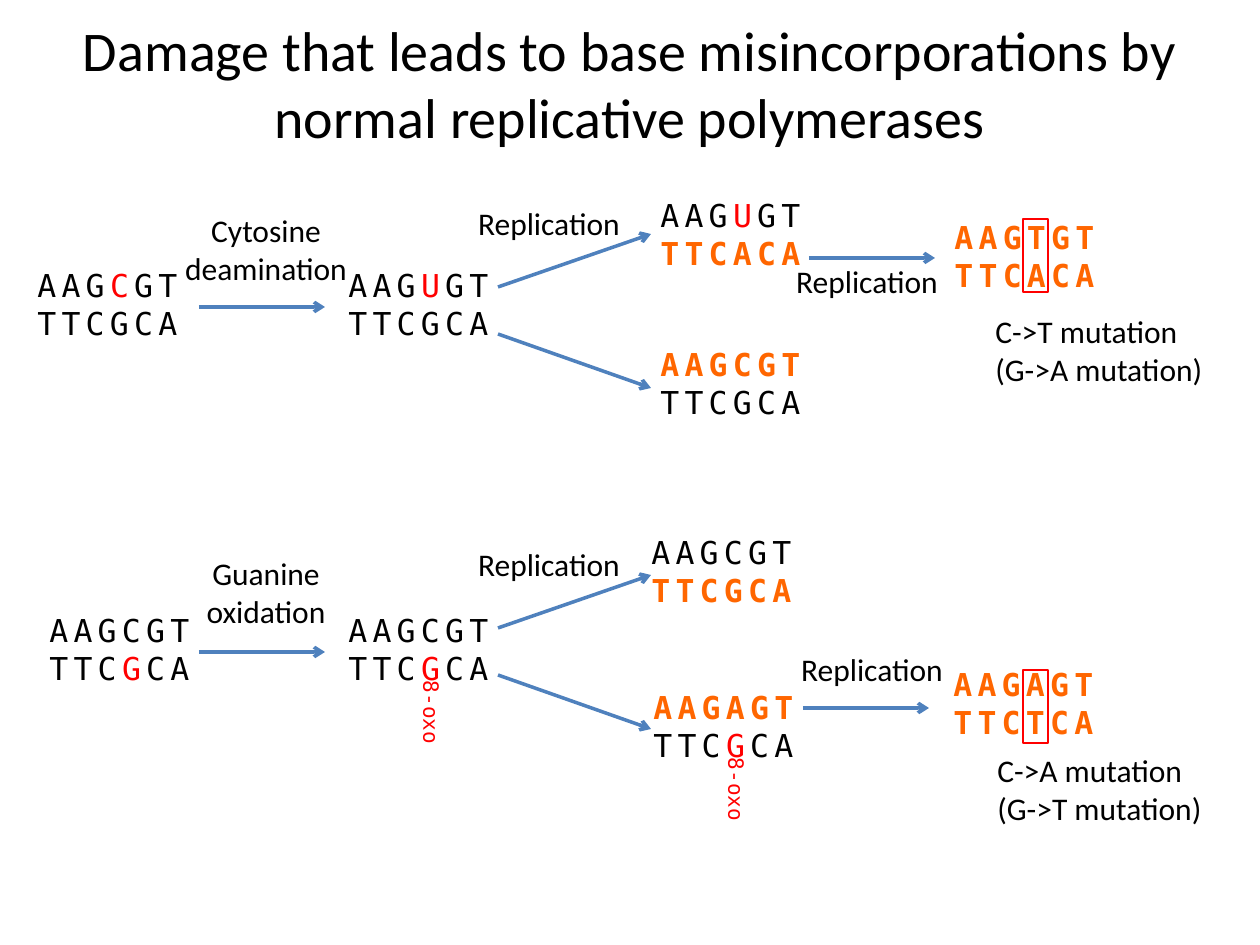
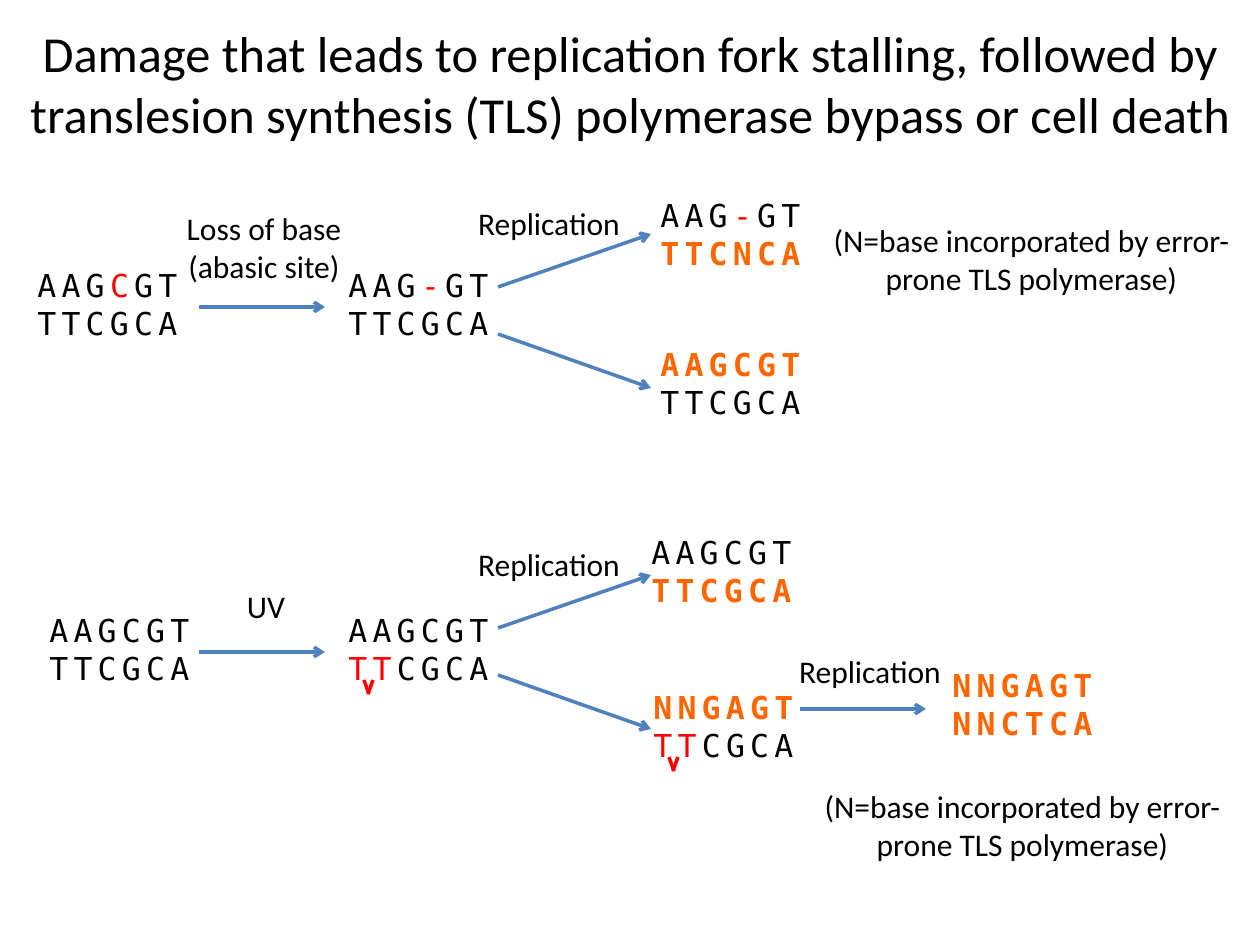
from lxml import etree
from pptx import Presentation
from pptx import util as u
from pptx.dml.color import RGBColor
from pptx.enum import shapes, text
from pptx.oxml.ns import qn

PX = 914400 / 126
SANS, MONO = "Calibri", "DejaVu Sans Mono"
BLACK, RED, ORANGE, BLUE = "000000", "FF0000", "FF6600", "4F81BD"
LEFT, CENTER = text.PP_ALIGN.LEFT, text.PP_ALIGN.CENTER
STRAIGHT = shapes.MSO_CONNECTOR.STRAIGHT
TLS_NOTE = "(N=base incorporated by error-prone TLS polymerase)"


def px(length):
    return u.Emu(round(length * PX))


def rgb(value):
    return RGBColor.from_string(value)


def format_span(span, size, name=SANS, color=BLACK, bold=False):
    span.font.size = u.Pt(size)
    span.font.name = name
    span.font.bold = bold
    span.font.color.rgb = rgb(color)


def add_box(page, left, top, width, height):
    box = page.shapes.add_textbox(px(left), px(top), px(width), px(height))
    box.text_frame.word_wrap = True
    box.text_frame.auto_size = text.MSO_AUTO_SIZE.SHAPE_TO_FIT_TEXT
    return box


def add_label(page, left, top, words, width=210, align=CENTER, lines=2):
    box = add_box(page, left, top, width, 50 if lines == 1 else 89)
    box.text_frame.text = words
    for para in box.text_frame.paragraphs:
        para.alignment = align
        format_span(para.runs[0], 18)


def add_duplex(page, left, top, strands):
    """Each strand marks damaged bases with [ ] and a new strand with a leading *."""
    frame = add_box(page, left, top, 174, 89).text_frame
    for index, strand in enumerate(strands):
        para = frame.add_paragraph() if index else frame.paragraphs[0]
        is_new = strand.startswith("*")
        pieces = strand.lstrip("*").replace("]", "[").split("[")
        for order, bases in enumerate(pieces):
            if bases:
                span = para.add_run()
                span.text = bases
                color = RED if order % 2 else ORANGE if is_new else BLACK
                format_span(span, 18, MONO, color, is_new)
                span.font._element.set("spc", "300")


def add_line(parent, start, end, color):
    line = parent.shapes.add_connector(STRAIGHT, *map(px, start + end))
    line.line.color.rgb = rgb(color)
    line.line.width = u.Pt(2)
    etree.SubElement(line._element.spPr, qn("a:effectLst"))
    return line


def add_arrow(page, start, end):
    arrow = add_line(page, start, end, BLUE)
    etree.SubElement(arrow.line._get_or_add_ln(), qn("a:tailEnd"), type="arrow")


def add_title(page, words, left, width, size):
    title = page.shapes.title
    title.left, title.top, title.width, title.height = map(px, (left, 4, width, 158))
    frame = title.text_frame
    frame.text = words
    frame.word_wrap = True
    frame.auto_size = text.MSO_AUTO_SIZE.NONE
    frame.vertical_anchor = text.MSO_ANCHOR.MIDDLE
    frame.paragraphs[0].alignment = CENTER
    format_span(frame.paragraphs[0].runs[0], size)


def draw_damage(page, left, top, intact, cause, cause_at, damaged, lines=2):
    add_duplex(page, left, top, intact)
    add_duplex(page, 336, top, damaged)
    add_arrow(page, (199, top + 47), (325, top + 47))
    add_label(page, *cause_at, cause, lines=lines)


def draw_fork(page, left, top, upper, upper_at, lower, lower_at):
    add_arrow(page, (left + 54, top + 89), (left + 207, top + 36))
    add_arrow(page, (left + 54, top + 136), (left + 207, top + 190))
    add_label(page, left, top, "Replication", lines=1)
    for strands, (dx, dy) in ((upper, upper_at), (lower, lower_at)):
        add_duplex(page, left + dx, top + dy, strands)


def draw_second_round(page, left, top, label_at, strands, strands_at):
    add_arrow(page, (left, top), (left + 126, top))
    add_label(page, left + label_at[0], top + label_at[1], "Replication", lines=1)
    add_duplex(page, left + strands_at[0], top + strands_at[1], strands)


def draw_mutation(page, left, top, words, dx, dy):
    frame = page.shapes.add_shape(
        shapes.MSO_SHAPE.RECTANGLE, px(left), px(top), px(25), px(73))
    frame.shadow.inherit = False
    frame.fill.background()
    frame.line.color.rgb = rgb(RED)
    frame.line.width = u.Pt(0.75)
    add_label(page, left + dx, top + dy, words, 241, LEFT)


def draw_oxo(page, left, top):
    box = add_box(page, left + 38, top + 102, 115, 38)
    box.rotation = 90
    box.text_frame.text = "8-oxo"
    format_span(box.text_frame.paragraphs[0].runs[0], 12, MONO, RED)


def draw_dimer(page, left, top):
    group = page.shapes.add_group_shape()
    for start, end in ((28, 33), (37, 32)):
        add_line(group, (left + start, top + 75), (left + end, top + 89), RED)


def build_misincorporation(page):
    add_title(page, "Damage that leads to base misincorporations by "
              "normal replicative polymerases", 63, 1134, 32)

    draw_damage(page, 25, 260, ("AAG[C]GT", "TTCGCA"), "Cytosine deamination",
                (161, 205), ("AAG[U]GT", "TTCGCA"))
    draw_fork(page, 444, 198, ("AAG[U]GT", "*TTCACA"), (204, -8),
              ("*AAGCGT", "TTCGCA"), (204, 141))
    draw_second_round(page, 809, 258, (-47, -2), ("*AAGTGT", "*TTCACA"), (133, -46))
    draw_mutation(page, 1023, 219, "C->T mutation\n(G->A mutation)", -40, 87)

    draw_damage(page, 37, 605, ("AAGCGT", "TTC[G]CA"), "Guanine oxidation",
                (161, 548), ("AAGCGT", "TTC[G]CA"))
    draw_oxo(page, 336, 605)
    draw_fork(page, 444, 539, ("AAGCGT", "*TTCGCA"), (195, -12),
              ("*AAGAGT", "TTC[G]CA"), (197, 143))
    draw_oxo(page, 641, 682)
    draw_second_round(page, 803, 708, (-36, -64), ("*AAGAGT", "*TTCTCA"), (138, -49))
    draw_mutation(page, 1023, 670, "C->A mutation\n(G->T mutation)", -38, 75)


def build_stalling(page):
    add_title(page, "Damage that leads to replication fork stalling, followed by "
              "translesion synthesis (TLS) polymerase bypass or cell death",
              5, 1251, 28.8)

    draw_damage(page, 25, 260, ("AAG[C]GT", "TTCGCA"), "Loss of base\n(abasic site)",
                (159, 203), ("AAG[-]GT", "TTCGCA"))
    draw_fork(page, 444, 198, ("AAG[-]GT", "*TTCNCA"), (204, -8),
              ("*AAGCGT", "TTCGCA"), (204, 141))
    add_label(page, 814, 215, TLS_NOTE, 435)

    draw_damage(page, 37, 605, ("AAGCGT", "TTCGCA"), "UV",
                (161, 581), ("AAGCGT", "[TT]CGCA"), lines=1)
    draw_dimer(page, 336, 605)
    draw_fork(page, 444, 539, ("AAGCGT", "*TTCGCA"), (195, -12),
              ("*NNGAGT", "[TT]CGCA"), (197, 143))
    draw_dimer(page, 641, 682)
    draw_second_round(page, 800, 709, (-35, -63), ("*NNGAGT", "*NNCTCA"), (140, -49))
    add_label(page, 805, 781, TLS_NOTE, 435)


def main():
    deck = Presentation()
    deck.slide_width, deck.slide_height = px(1260), px(945)
    for build in (build_misincorporation, build_stalling):
        build(deck.slides.add_slide(deck.slide_layouts[5]))
    deck.save("out.pptx")


if __name__ == "__main__":
    main()
